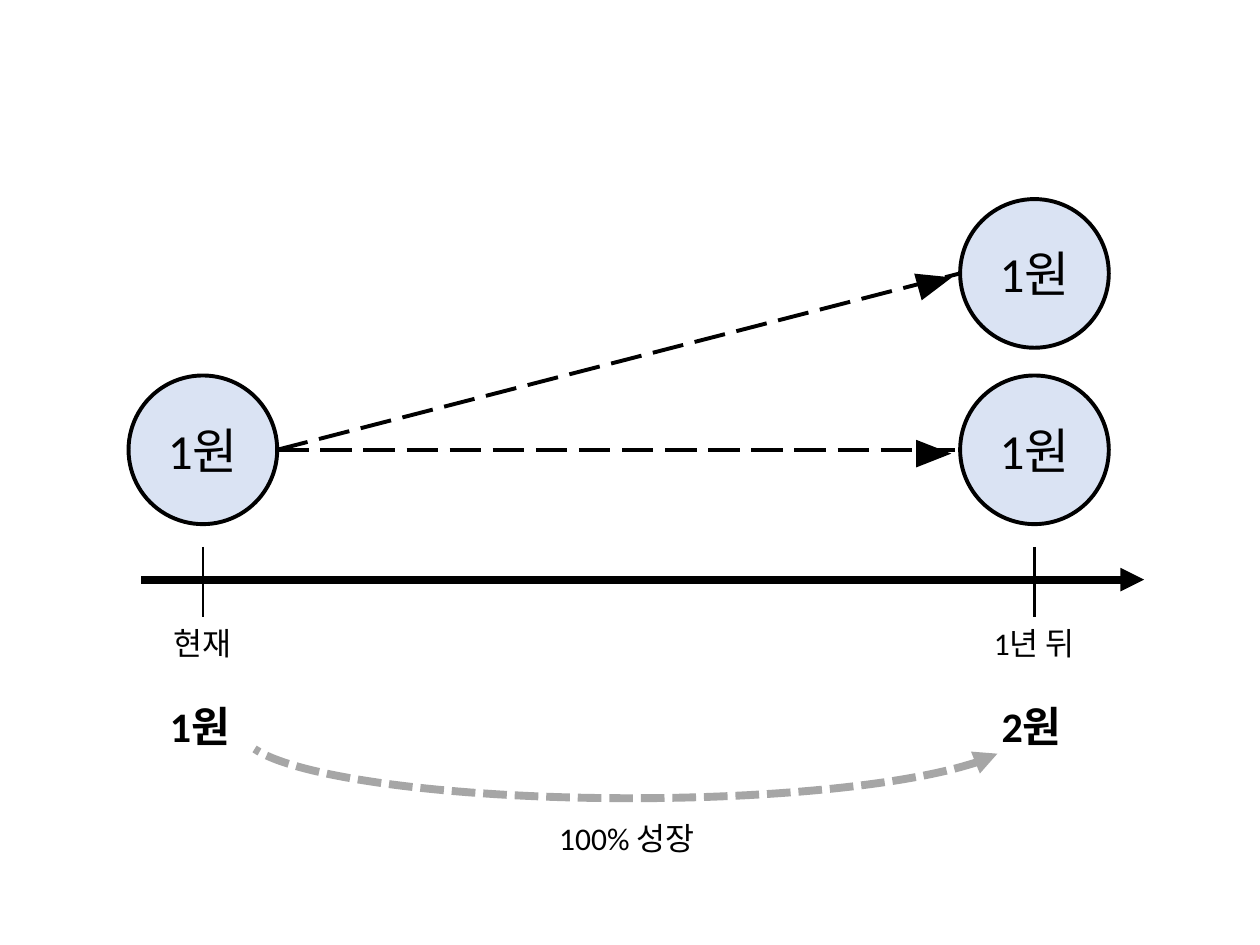
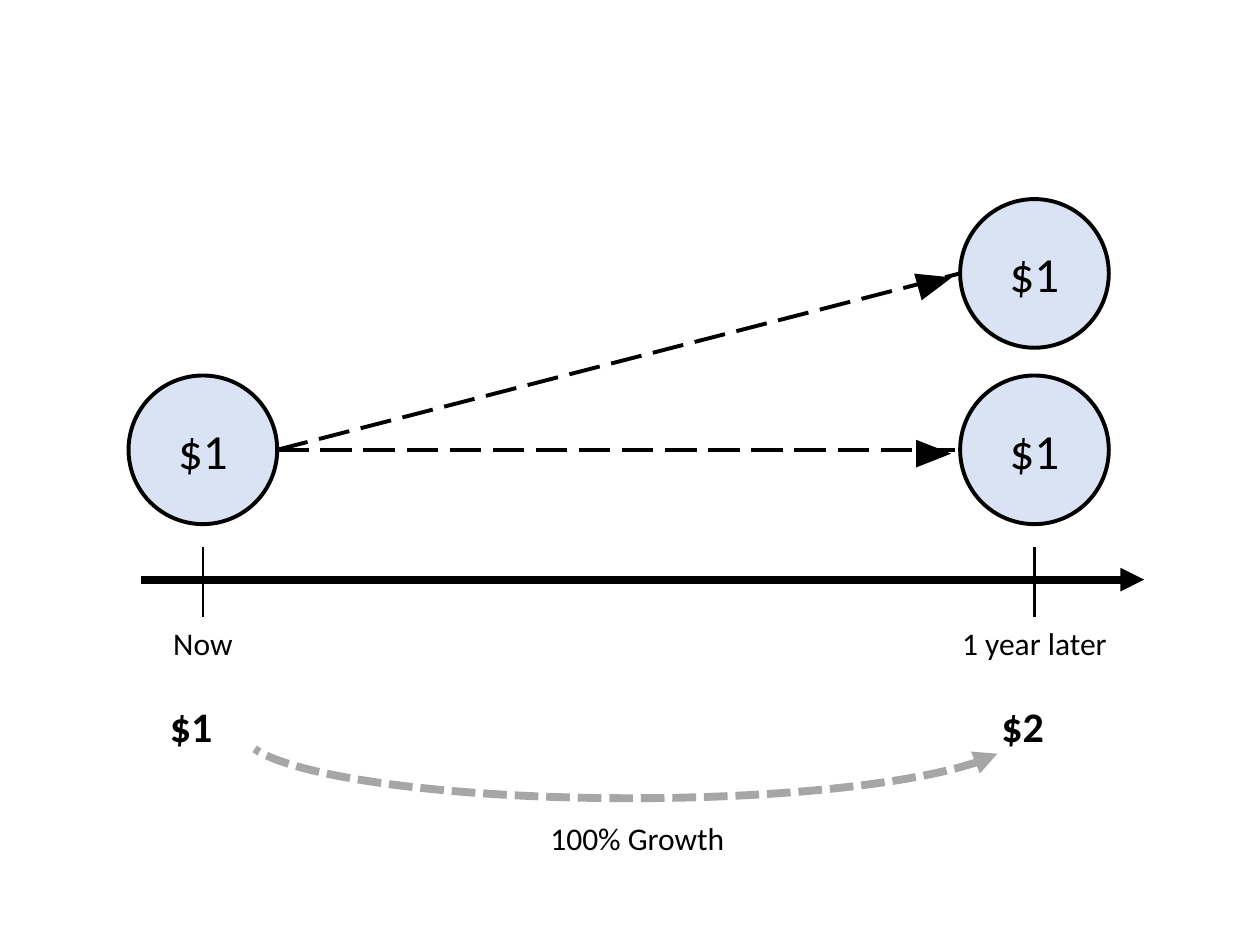
from dataclasses import dataclass
from typing import Optional

from lxml.etree import SubElement
from pptx import Presentation
from pptx.dml.color import RGBColor
from pptx.enum.dml import MSO_LINE as Dash
from pptx.enum.shapes import MSO_CONNECTOR as Connector, MSO_SHAPE as Shape
from pptx.enum.text import MSO_ANCHOR as Anchor, MSO_AUTO_SIZE as AutoSize, PP_ALIGN as Align
from pptx.oxml.ns import qn
from pptx.util import Inches, Pt

FONT = "Calibri"
BLACK, COIN_BLUE, GROWTH_GRAY = "000000", "DAE3F3", "A6A6A6"

NOW_X, LATER_X = 1.61, 8.21
AXIS_Y = 4.6
COIN_SIZE = 1.18
COIN_Y, EXTRA_COIN_Y = 3.57, 2.17
HEAD_WIDTH, HEAD_HEIGHT = 0.22, 0.28
LABEL_TOP, TOTAL_TOP, GROWTH_TOP = 4.9, 5.51, 6.45
TOTAL_OFFSET = 0.36


@dataclass(frozen=True)
class Label:
    text: str
    width: float


@dataclass(frozen=True)
class GrowthStory:
    coin: str
    now: Label
    later: Label
    total_now: Label
    total_later: Label
    growth: Label
    growth_left: float


@dataclass(frozen=True)
class Stroke:
    width: float
    color: str = BLACK
    dash: Optional[Dash] = None


AXIS = Stroke(4.5)
TICK = Stroke(1.5)
OUTLINE = Stroke(2.25)
PATH = Stroke(2.25, dash=Dash.LONG_DASH)
GROWTH = Stroke(4.5, GROWTH_GRAY, Dash.SQUARE_DOT)

STORIES = [
    GrowthStory("1원", Label("현재", 0.71), Label("1년 뒤", 0.89),
                Label("1원", 0.71), Label("2원", 0.71), Label("100% 성장", 1.33), 4.34),
    GrowthStory("$1", Label("Now", 0.68), Label("1 year later", 1.36),
                Label("$1", 0.54), Label("$2", 0.54), Label("100% Growth", 1.6), 4.27),
]


def rgb(color: str) -> RGBColor:
    return RGBColor.from_string(color)


def apply_stroke(line, stroke: Stroke, arrow_end: Optional[str] = None) -> None:
    """Style a line; arrow_end is "headEnd" or "tailEnd"."""
    line.color.rgb = rgb(stroke.color)
    line.width = Pt(stroke.width)
    if stroke.dash is not None:
        line.dash_style = stroke.dash
    if arrow_end:
        SubElement(line._get_or_add_ln(), qn(f"a:{arrow_end}"), type="triangle")


def write(frame, text: str, size: int, align: Align, bold: bool = False) -> None:
    frame.text = text
    paragraph = frame.paragraphs[0]
    paragraph.alignment = align
    font = paragraph.runs[0].font
    font.name, font.size, font.bold = FONT, Pt(size), bold
    font.color.rgb = rgb(BLACK)


def add_line(slide, x1: float, y1: float, x2: float, y2: float, stroke: Stroke,
             arrow_end: Optional[str] = None) -> None:
    line = slide.shapes.add_connector(
        Connector.STRAIGHT, Inches(x1), Inches(y1), Inches(x2), Inches(y2))
    apply_stroke(line.line, stroke, arrow_end)
    SubElement(line._element.spPr, qn("a:effectLst"))


def add_centered_shape(slide, kind: Shape, x: float, y: float, width: float, height: float):
    shape = slide.shapes.add_shape(kind, Inches(x - width / 2), Inches(y - height / 2),
                                   Inches(width), Inches(height))
    shape.shadow.inherit = False
    return shape


def add_coin(slide, x: float, y: float, text: str) -> None:
    coin = add_centered_shape(slide, Shape.OVAL, x, y, COIN_SIZE, COIN_SIZE)
    coin.fill.solid()
    coin.fill.fore_color.rgb = rgb(COIN_BLUE)
    apply_stroke(coin.line, OUTLINE)
    coin.text_frame.vertical_anchor = Anchor.MIDDLE
    write(coin.text_frame, text, 28, Align.CENTER)


def add_path_head(slide, x: float, y: float, angle: float) -> None:
    head = add_centered_shape(slide, Shape.ISOSCELES_TRIANGLE, x, y, HEAD_WIDTH, HEAD_HEIGHT)
    head.rotation = angle
    head.fill.solid()
    head.fill.fore_color.rgb = rgb(BLACK)
    head.line.fill.background()


def add_growth_arc(slide) -> None:
    arc = add_centered_shape(slide, Shape.ARC, 5, 5.82, 6.14, 1.03)
    arc.rotation = 180
    arc.adjustments[0], arc.adjustments[1] = 109.9, 214.57
    arc.fill.background()
    apply_stroke(arc.line, GROWTH, "headEnd")


def add_label(slide, label: Label, left: float, top: float, size: int = 18,
              align: Align = Align.LEFT, bold: bool = False) -> None:
    height = 0.5 if size > 18 else 0.4
    box = slide.shapes.add_textbox(Inches(left), Inches(top), Inches(label.width), Inches(height))
    box.text_frame.word_wrap = False
    box.text_frame.auto_size = AutoSize.SHAPE_TO_FIT_TEXT
    write(box.text_frame, label.text, size, align, bold)


def draw_story(slide, story: GrowthStory) -> None:
    add_line(slide, 1.12, AXIS_Y, 9.08, AXIS_Y, AXIS, "tailEnd")
    for x, label in ((NOW_X, story.now), (LATER_X, story.later)):
        add_line(slide, x, 4.34, x, 4.9, TICK)
        add_label(slide, label, x - label.width / 2, LABEL_TOP, align=Align.CENTER)

    for x, y in ((NOW_X, COIN_Y), (LATER_X, COIN_Y), (LATER_X, EXTRA_COIN_Y)):
        add_coin(slide, x, y, story.coin)

    radius = COIN_SIZE / 2
    for end_y, head_x, head_y, angle in ((EXTRA_COIN_Y, 7.42, 2.24, 74.3),
                                         (COIN_Y, 7.41, 3.6, 90)):
        add_line(slide, NOW_X + radius, COIN_Y, LATER_X - radius, end_y, PATH)
        add_path_head(slide, head_x, head_y, angle)

    for x, total in ((NOW_X, story.total_now), (LATER_X, story.total_later)):
        add_label(slide, total, x - TOTAL_OFFSET, TOTAL_TOP, size=24, bold=True)
    add_growth_arc(slide)
    add_label(slide, story.growth, story.growth_left, GROWTH_TOP)


def main() -> None:
    deck = Presentation()
    deck.slide_width, deck.slide_height = Inches(10), Inches(7.5)
    blank = deck.slide_layouts[6]
    for story in STORIES:
        draw_story(deck.slides.add_slide(blank), story)
    deck.save("out.pptx")


if __name__ == "__main__":
    main()
